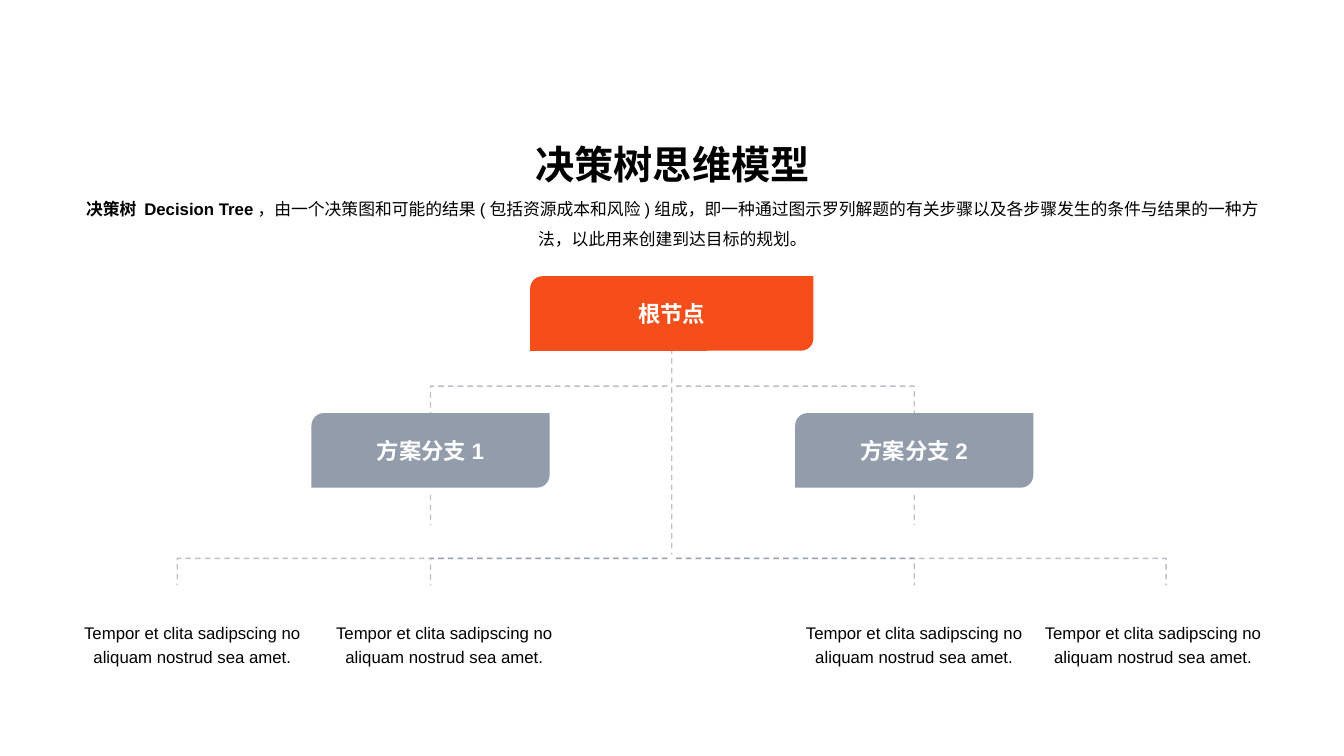
from dataclasses import dataclass

import pptx
import pptx.dml.color
import pptx.enum.dml
import pptx.enum.shapes
import pptx.enum.text
import pptx.oxml.ns
import pptx.util
from lxml import etree

Cm = pptx.util.Cm
qn = pptx.oxml.ns.qn


@dataclass(frozen=True)
class Theme:
    font: str = "Arial"
    ink: str = "000000"
    white: str = "FFFFFF"
    root: str = "F54E1A"
    slate: str = "778495"
    branch_alpha: int = 80
    line_alpha: int = 50
    title_size: int = 28
    node_size: int = 16
    text_size: int = 12
    line_width: int = 1


THEME = Theme()
CENTRE = 16.93
BRANCHES = {"方案分支1": 10.85, "方案分支2": 23.04}
LEAVES = (4.47, 10.85, 23.04, 29.39)
CAPTION_LEFTS = (1.85, 8.2, 20.04, 26.06)
CAPTION = "Tempor et clita sadipscing no aliquam nostrud sea amet."
NODE_HEIGHT = 1.88
BRANCH_WIDTH = 6
ROOT_WIDTH = 7.14
RAIL_GAP = 0.11


def apply_format(target, values):
    for name, value in values.items():
        setattr(target, name, value)


def rgb(colour):
    return pptx.dml.color.RGBColor.from_string(colour)


def set_alpha(element, percent):
    for colour in element.iter(qn("a:srgbClr")):
        etree.SubElement(colour, qn("a:alpha"), val=str(percent * 1000))


def write_text(frame, runs, size, colour, spacing=1.0,
               anchor=pptx.enum.text.MSO_ANCHOR.TOP):
    apply_format(frame, {
        "word_wrap": True,
        "auto_size": pptx.enum.text.MSO_AUTO_SIZE.NONE,
        "vertical_anchor": anchor,
    })
    paragraph = frame.paragraphs[0]
    properties = paragraph._p.get_or_add_pPr()
    properties.set("marL", "0")
    properties.set("indent", "0")
    etree.SubElement(properties, qn("a:buNone"))
    apply_format(paragraph, {
        "alignment": pptx.enum.text.PP_ALIGN.CENTER,
        "line_spacing": spacing,
        "space_before": pptx.util.Pt(0),
    })
    for text, bold in runs:
        run = paragraph.add_run()
        run.text = text
        apply_format(run.font, {
            "name": THEME.font,
            "size": pptx.util.Pt(size),
            "bold": bold,
        })
        run.font.color.rgb = rgb(colour)


def place(placeholder, left, top, width, height):
    apply_format(placeholder, {
        "left": Cm(left), "top": Cm(top),
        "width": Cm(width), "height": Cm(height),
    })


def add_node(slide, text, centre, top, width, colour, alpha=100):
    node = slide.shapes.add_shape(
        pptx.enum.shapes.MSO_SHAPE.ROUND_2_DIAG_RECTANGLE,
        Cm(centre - width / 2), Cm(top), Cm(width), Cm(NODE_HEIGHT))
    node.shadow.inherit = False
    node.fill.solid()
    node.fill.fore_color.rgb = rgb(colour)
    node.line.fill.background()
    if alpha < 100:
        set_alpha(node._element.spPr, alpha)
    write_text(node.text_frame, [(text, True)], THEME.node_size, THEME.white,
               anchor=pptx.enum.text.MSO_ANCHOR.MIDDLE)


def add_dashed_line(slide, start, end, kind=pptx.enum.shapes.MSO_CONNECTOR.STRAIGHT):
    link = slide.shapes.add_connector(kind, *map(Cm, start + end))
    apply_format(link.line, {
        "width": pptx.util.Pt(THEME.line_width),
        "dash_style": pptx.enum.dml.MSO_LINE.DASH,
    })
    link.line.color.rgb = rgb(THEME.slate)
    properties = link._element.spPr
    set_alpha(properties, THEME.line_alpha)
    etree.SubElement(properties, qn("a:effectLst"))
    return link


def add_rail(slide, centres, top, bottom):
    for centre in centres:
        side = -1 if centre < CENTRE else 1
        rail = add_dashed_line(slide, (CENTRE + side * RAIL_GAP, top), (centre, bottom),
                               pptx.enum.shapes.MSO_CONNECTOR.ELBOW)
        rail._element.spPr.find(qn("a:prstGeom")).set("prst", "bentConnector2")


def add_caption(slide, left):
    caption = slide.shapes.add_textbox(Cm(left), Cm(15.47), Cm(BRANCH_WIDTH), Cm(1.75))
    write_text(caption.text_frame, [(CAPTION, False)], THEME.text_size, THEME.ink, 1.2)


def add_heading(slide):
    title, summary = slide.placeholders
    place(title, 1.85, 2.97, 30.2, NODE_HEIGHT)
    write_text(title.text_frame, [("决策树思维模型", True)], THEME.title_size, THEME.ink,
               anchor=pptx.enum.text.MSO_ANCHOR.BOTTOM)
    place(summary, 1.85, 4.62, 30.2, 1.8)
    write_text(summary.text_frame, [
        ("决策树 Decision Tree", True),
        ("，由一个决策图和可能的结果(包括资源成本和风险)组成，"
         "即一种通过图示罗列解题的有关步骤以及各步骤发生的条件与结果的一种方法，"
         "以此用来创建到达目标的规划。", False),
    ], THEME.text_size, THEME.ink, 1.5)


def main():
    deck = pptx.Presentation()
    apply_format(deck, {"slide_width": Cm(33.87), "slide_height": Cm(19.05)})
    slide = deck.slides.add_slide(deck.slide_layouts[1])

    add_heading(slide)
    add_rail(slide, BRANCHES.values(), 9.73, 10.41)
    add_dashed_line(slide, (CENTRE, 7.8), (CENTRE, 13.97))
    add_rail(slide, LEAVES, 14.07, 14.75)
    for text, centre in BRANCHES.items():
        add_node(slide, text, centre, 10.41, BRANCH_WIDTH, THEME.slate, THEME.branch_alpha)
        add_dashed_line(slide, (centre, 12.47), (centre, 13.23))
    add_node(slide, "根节点", CENTRE, 6.96, ROOT_WIDTH, THEME.root)
    for left in CAPTION_LEFTS:
        add_caption(slide, left)

    deck.save("out.pptx")


if __name__ == "__main__":
    main()
